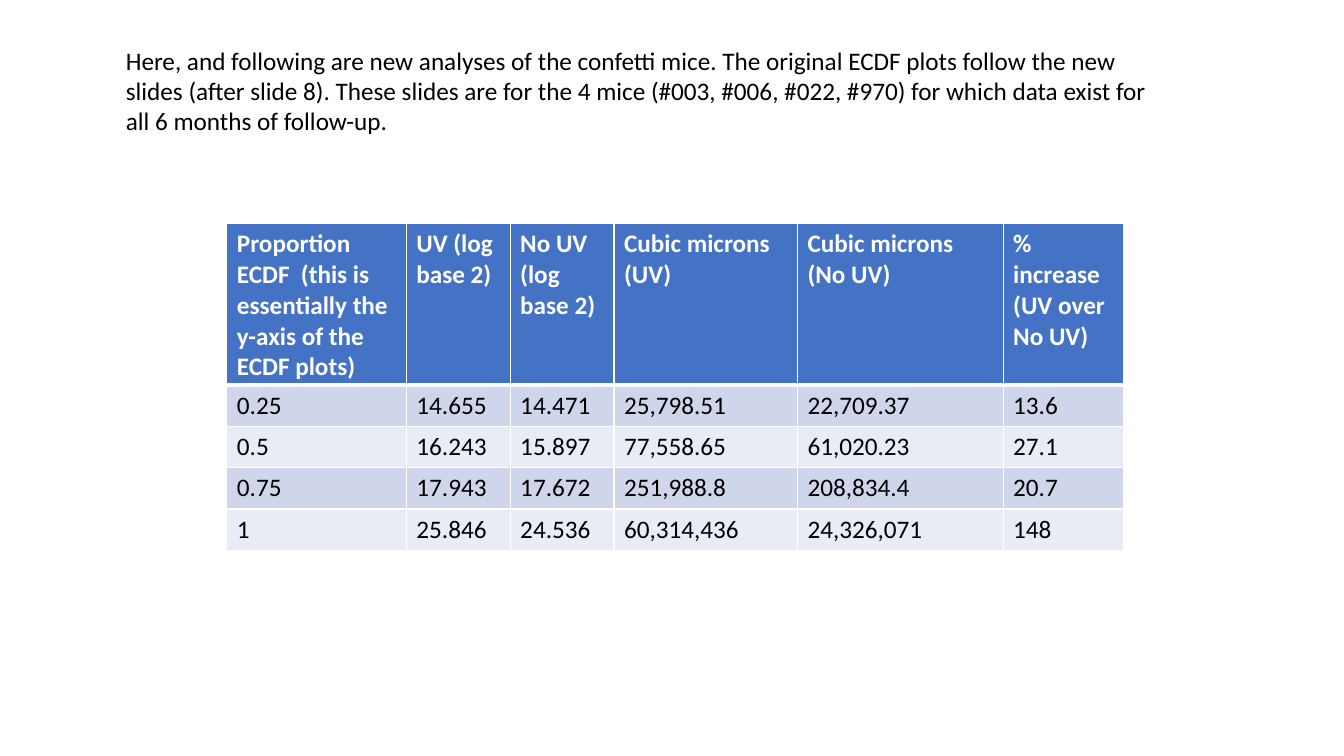
from lxml import etree
from pptx import Presentation
from pptx.dml.color import RGBColor
from pptx.enum.text import MSO_AUTO_SIZE
from pptx.oxml.ns import qn
from pptx.util import Inches, Pt

FIT_SHAPE = MSO_AUTO_SIZE.SHAPE_TO_FIT_TEXT
BLANK_LAYOUT = 6
COLORS = {
    "text": "000000",
    "white": "FFFFFF",
    "header": "4472C4",
    "odd_row": "CFD5EA",
    "even_row": "E9EBF5",
}

INTRO = (
    "Here, and following are new analyses of the confetti mice. "
    "The original ECDF plots follow the new slides (after slide 8). "
    "These slides are for the 4 mice (#003, #006, #022, #970) "
    "for which data exist for all 6 months of follow-up."
)
ROWS = [
    ["Proportion ECDF  (this is essentially the y-axis of the ECDF plots)",
     "UV (log base 2)", "No UV (log base 2)", "Cubic microns (UV)",
     "Cubic microns (No UV)", "% increase (UV over No UV)"],
    ["0.25", "14.655", "14.471", "25,798.51", "22,709.37", "13.6"],
    ["0.5", "16.243", "15.897", "77,558.65", "61,020.23", "27.1"],
    ["0.75", "17.943", "17.672", "251,988.8", "208,834.4", "20.7"],
    ["1", "25.846", "24.536", "60,314,436", "24,326,071", "148"],
]
COLUMN_WIDTHS = [1.78, 1.03, 1.03, 1.82, 2.04, 1.19]
HEADER_HEIGHT, ROW_HEIGHT = 1.58, 0.41


def write(frame, text, color, bold=False):
    span = frame.paragraphs[0].add_run()
    span.text = text
    for name, value in {"name": "Calibri", "size": Pt(18), "bold": bold}.items():
        setattr(span.font, name, value)
    span.font.color.rgb = RGBColor.from_string(COLORS[color])


def add_border(cell, side, width):
    properties = cell._tc.get_or_add_tcPr()
    line = etree.SubElement(properties, qn(f"a:ln{side}"), w=str(Pt(width)))
    fill = etree.SubElement(line, qn("a:solidFill"))
    etree.SubElement(fill, qn("a:srgbClr"), val=COLORS["white"])


deck = Presentation()
deck.slide_width, deck.slide_height = Inches(13.33), Inches(7.5)
page = deck.slides.add_slide(deck.slide_layouts[BLANK_LAYOUT])

# Introduction
box = page.shapes.add_textbox(Inches(1.15), Inches(0.4), Inches(10.43), Inches(1.01))
box.text_frame.word_wrap = True
box.text_frame.auto_size = FIT_SHAPE
write(box.text_frame, INTRO, "text")

# Table grid
heights = [HEADER_HEIGHT] + [ROW_HEIGHT] * (len(ROWS) - 1)
table = page.shapes.add_table(
    len(ROWS), len(COLUMN_WIDTHS), Inches(2.25), Inches(2.22),
    Inches(sum(COLUMN_WIDTHS)), Inches(sum(heights)),
).table
for column, width in zip(table.columns, COLUMN_WIDTHS):
    column.width = Inches(width)
for row, height in zip(table.rows, heights):
    row.height = Inches(height)

# Cells: borders come before the fill
for row_number, values in enumerate(ROWS):
    is_header = row_number == 0
    band = "header" if is_header else ("odd_row" if row_number % 2 else "even_row")
    for column_number, value in enumerate(values):
        cell = table.cell(row_number, column_number)
        for side in "LRTB":
            thick = (side == "B" and is_header) or (side == "T" and row_number == 1)
            add_border(cell, side, 3 if thick else 1)
        cell.fill.solid()
        cell.fill.fore_color.rgb = RGBColor.from_string(COLORS[band])
        write(cell.text_frame, value, "white" if is_header else "text", is_header)

deck.save("out.pptx")
